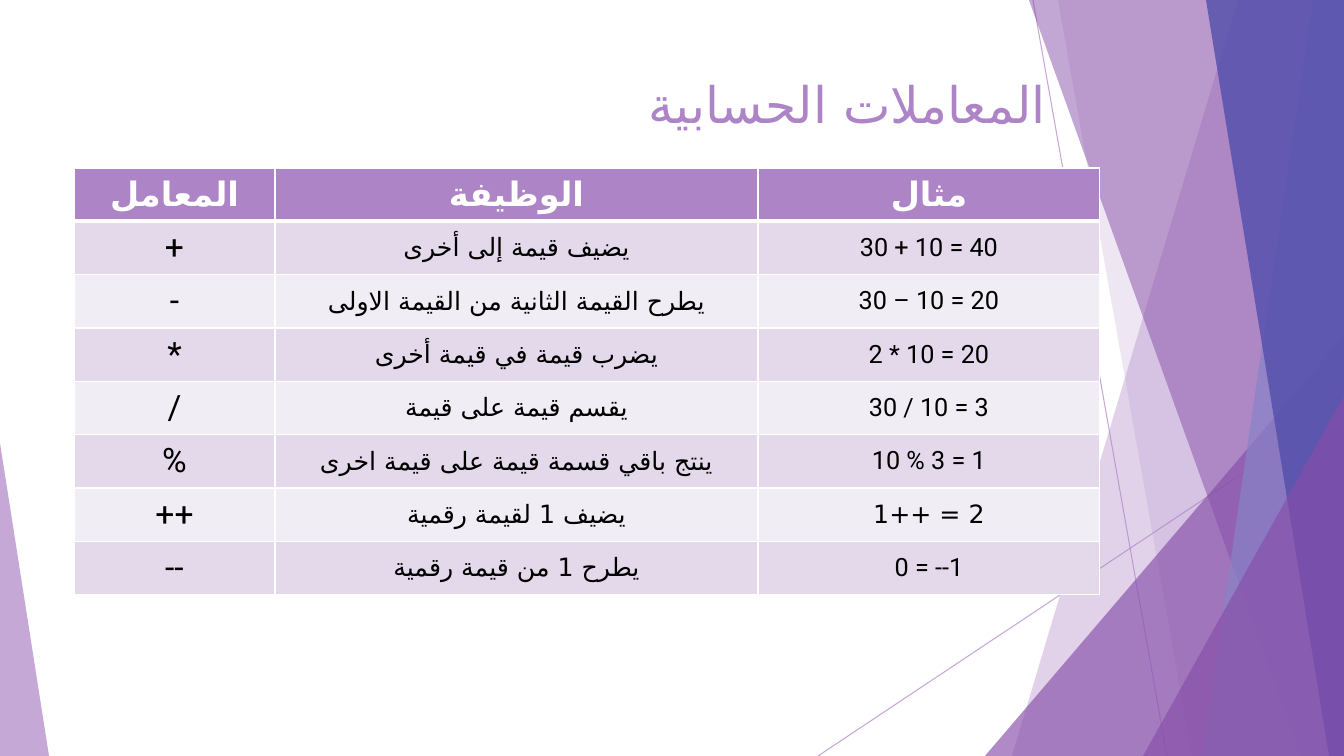
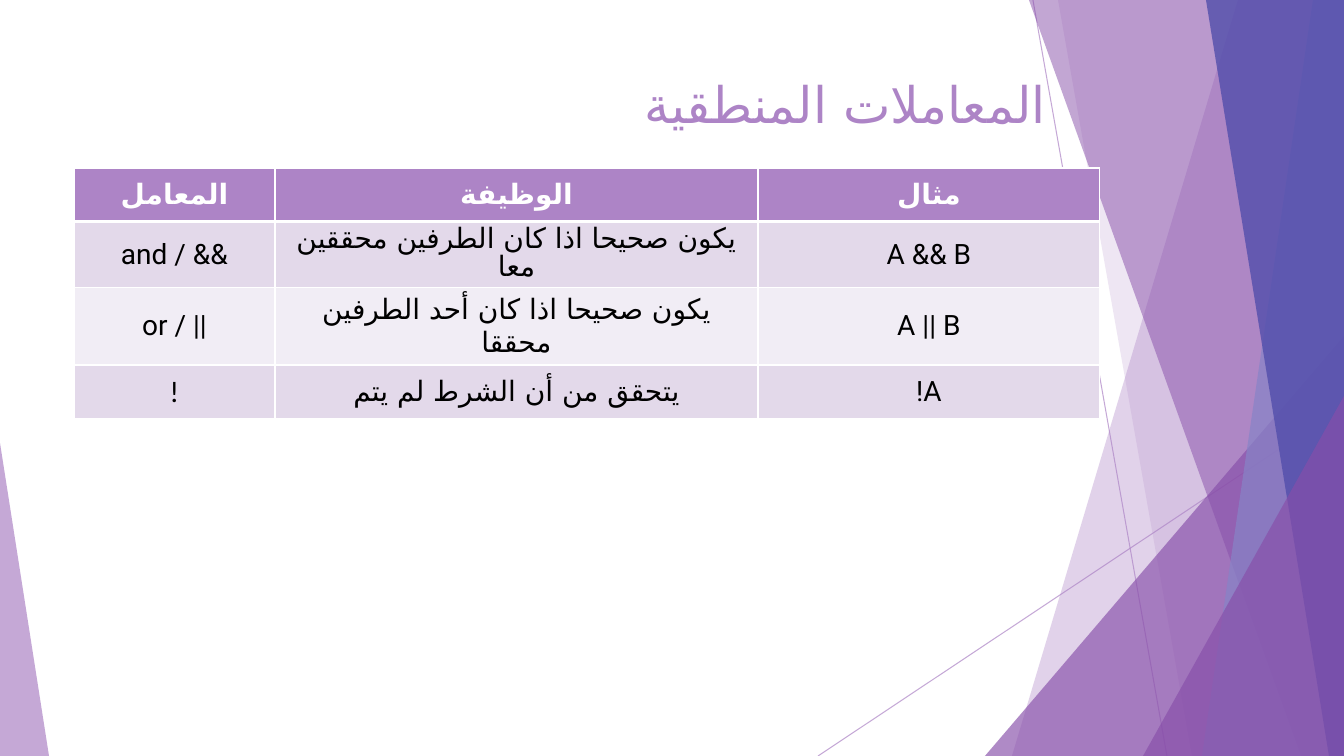
"""Build two slides of Arabic operator tables over a faceted purple backdrop."""
from lxml import etree
from pptx import Presentation
from pptx.dml.color import RGBColor
from pptx.enum.shapes import MSO_CONNECTOR, MSO_SHAPE
from pptx.enum.text import MSO_ANCHOR, PP_ALIGN
from pptx.oxml.ns import qn
from pptx.util import Pt

STRAIGHT = MSO_CONNECTOR.STRAIGHT
TRIANGLE = MSO_SHAPE.ISOSCELES_TRIANGLE
TOP, MIDDLE = MSO_ANCHOR.TOP, MSO_ANCHOR.MIDDLE
CENTER, RIGHT = PP_ALIGN.CENTER, PP_ALIGN.RIGHT

PX = 914400 / 100.8
W, H = 1344, 756
FONT, ARABIC_FONT = "Roboto", "DejaVu Sans"
COLORS = {
    "lilac": "AD84C6", "purple": "874EA9", "periwinkle": "8784C7", "indigo": "524EAB",
    "odd": "E3D9EA", "even": "F1EDF5", "white": "FFFFFF", "black": "000000",
}
RGB = {name: RGBColor.from_string(value) for name, value in COLORS.items()}

RAYS = [(1033, 0, 1167, H), (W, 406, 818, H)]
FACETS = [
    ("band", (1238, 1012), "lilac", 36),
    ("band", (1058, 1192), "lilac", 20),
    ("triangle", (985, 336, 359, 420, 1), "purple", 66),
    ("band", (1029, 1301), "purple", 50),
    ("band", (1313, 1202), "periwinkle", 70),
    ("band", (1206, 1329), "indigo", 80),
    ("triangle", (1143, 396, 201, 360, 1), "purple", 66),
    ("triangle", (0, 443, 49, 313, 0), "lilac", 70),
]

COLUMNS = [201, 483, 342]
HEADER = ("المعامل", "الوظيفة", "مثال")
RTL_CELLS = ["2 = ++1"]
LATO_CELLS = ["!"]
WRAPPED_CELL = "يكون صحيحا اذا كان الطرفين محققين معا"
SLIDES = [
    {
        "title": "المعاملات الحسابية",
        "height": 427, "header_size": 24, "sizes": (24, 18, 18),
        "rows": [
            ("+", "يضيف قيمة إلى أخرى", "30 + 10 = 40"),
            ("-", "يطرح القيمة الثانية من القيمة الاولى", "30 – 10 = 20"),
            ("*", "يضرب قيمة في قيمة أخرى", "2 * 10 = 20"),
            ("/", "يقسم قيمة على قيمة", "30 / 10 = 3"),
            ("%", "ينتج باقي قسمة قيمة على قيمة اخرى", "10 % 3 = 1"),
            ("++", "يضيف 1 لقيمة رقمية", "2 = ++1"),
            ("--", "يطرح 1 من قيمة رقمية", "0 = --1"),
        ],
    },
    {
        "title": "المعاملات المنطقية",
        "height": 214, "header_size": 20, "sizes": (20, 20, 20),
        "rows": [
            ("and / &&", WRAPPED_CELL, "A && B"),
            ("or / ||", "يكون صحيحا اذا كان أحد الطرفين محققا", "A || B"),
            ("!", "يتحقق من أن الشرط لم يتم", "!A"),
        ],
    },
]


def set_alpha(element, percent):
    for color in element.iter(qn("a:srgbClr")):
        etree.SubElement(color, qn("a:alpha"), val=str(percent * 1000))


def write(tf, text, size, color, align, rtl=False, bold=False, font=FONT):
    p = tf.paragraphs[0]
    p.text = text
    p.alignment = align
    p.font.name, p.font.size, p.font.bold = font, Pt(size), bold
    p.font.color.rgb = RGB[color]
    pPr = p._p.get_or_add_pPr()
    pPr.set("rtl", str(int(rtl)))
    etree.SubElement(pPr.find(qn("a:defRPr")), qn("a:cs"), typeface=ARABIC_FONT)
    return p


prs = Presentation()
prs.slide_width, prs.slide_height = round(W * PX), round(H * PX)

for content in SLIDES:
    s = prs.slides.add_slide(prs.slide_layouts[6])

    for ray in RAYS:
        line = s.shapes.add_connector(STRAIGHT, *[round(v * PX) for v in ray])
        line.line.color.rgb = RGB["lilac"]
        line.line.width = Pt(0.75)
        spPr = line._element.spPr
        set_alpha(spPr, 70)
        etree.SubElement(spPr, qn("a:effectLst"))

    for kind, place, color, alpha in FACETS:
        if kind == "band":
            top_x, bottom_x = place
            outline = s.shapes.build_freeform(top_x, 0, scale=PX)
            outline.add_line_segments([(W, 0), (W, H), (bottom_x, H)], close=True)
            sp = outline.convert_to_shape()
        else:
            *box, apex = place
            sp = s.shapes.add_shape(TRIANGLE, *[round(v * PX) for v in box])
            sp.adjustments[0] = apex
        sp.shadow.inherit = False
        sp.line.fill.background()
        sp.fill.solid()
        sp.fill.fore_color.rgb = RGB[color]
        set_alpha(sp._element.spPr, alpha)

    title = s.shapes.add_textbox(*[round(v * PX) for v in (74, 68, 982, 90)])
    tf = title.text_frame
    tf.word_wrap = True
    tf.vertical_anchor = TOP
    write(tf, content["title"], 36, "lilac", RIGHT, rtl=True)

    rows = [HEADER] + content["rows"]
    box = (74, 168, sum(COLUMNS), content["height"])
    table = s.shapes.add_table(len(rows), len(COLUMNS), *[round(v * PX) for v in box]).table
    for column, width in zip(table.columns, COLUMNS):
        column.width = round(width * PX)

    for i, row in enumerate(rows):
        is_header = i == 0
        sizes = [content["header_size"]] * len(COLUMNS) if is_header else content["sizes"]
        fill = "lilac" if is_header else "odd" if i % 2 else "even"
        borders = {"lnL": 1, "lnR": 1, "lnT": 3 if i == 1 else 1, "lnB": 3 if is_header else 1}
        for j, text in enumerate(row):
            cell = table.cell(i, j)
            cell.vertical_anchor = MIDDLE
            tcPr = cell._tc.get_or_add_tcPr()
            for side, width in borders.items():
                ln = etree.SubElement(tcPr, qn(f"a:{side}"), w=str(Pt(width)))
                solid = etree.SubElement(ln, qn("a:solidFill"))
                etree.SubElement(solid, qn("a:srgbClr"), val=COLORS["white"])
            cell.fill.solid()
            cell.fill.fore_color.rgb = RGB[fill]
            p = write(cell.text_frame, text, sizes[j], "white" if is_header else "black", CENTER,
                      rtl=text in RTL_CELLS, bold=is_header,
                      font="Lato" if text in LATO_CELLS else FONT)
            if text == WRAPPED_CELL:
                p.line_spacing = Pt(sizes[j])
                table.rows[i].height = round(66 * PX)

prs.save("out.pptx")
